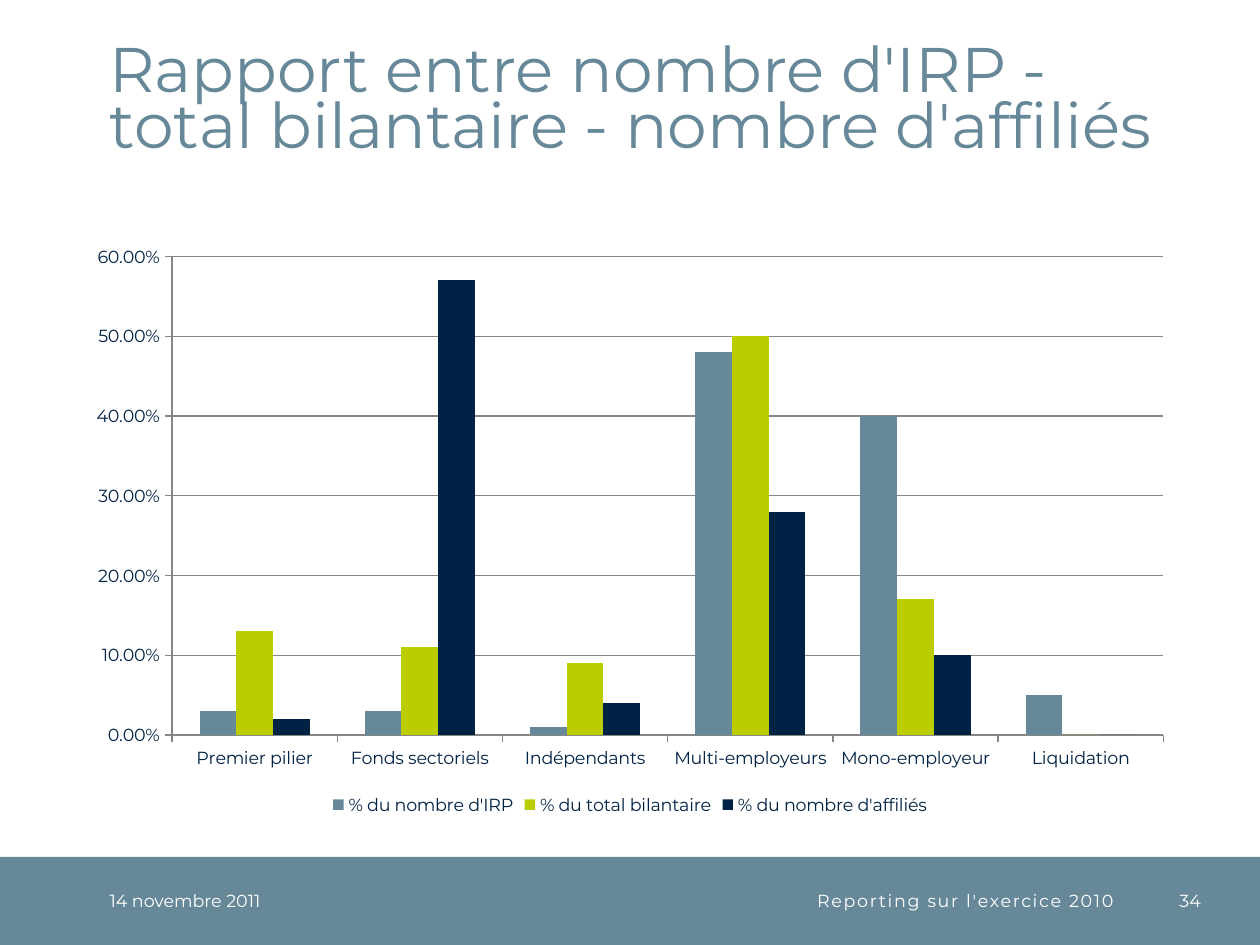
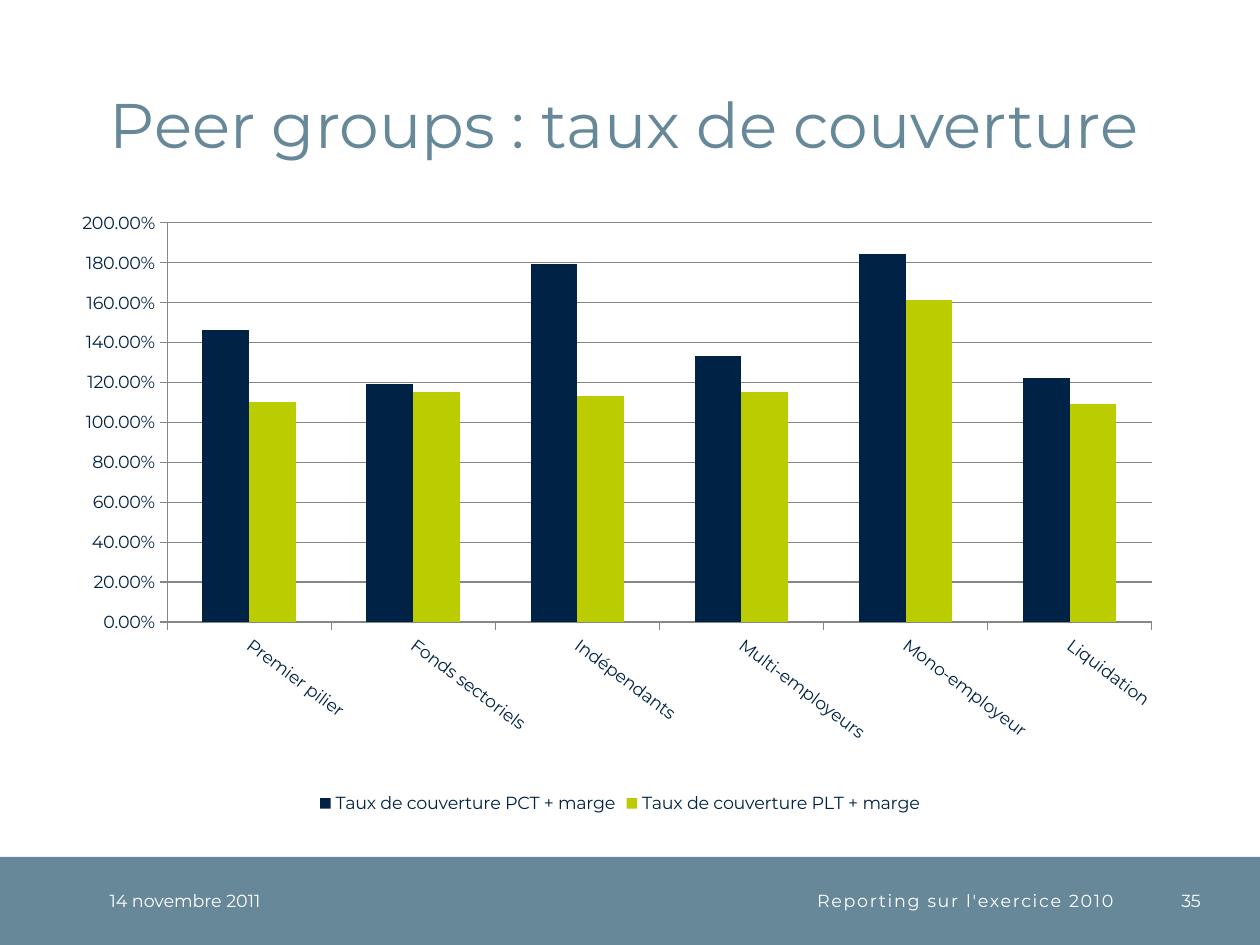
from lxml import etree
from pptx import Presentation
from pptx.chart.data import CategoryChartData
from pptx.dml.color import RGBColor
from pptx.enum import chart as ch, shapes, text
from pptx.oxml import ns
from pptx.util import Inches, Pt

FONT = "Montserrat"
COLORS = {"slate": "668899", "lime": "BBCC00", "navy": "002244",
          "grid": "868686", "white": "FFFFFF"}
GROUPS = ["Premier pilier", "Fonds sectoriels", "Indépendants",
          "Multi-employeurs", "Mono-employeur", "Liquidation"]
BAND_TOP, BAND_HIGH = 6.8, 0.7


def rgb(name):
    return RGBColor.from_string(COLORS[name])


def style(font, size, color):
    font.name = FONT
    font.size = Pt(size)
    font.color.rgb = rgb(color)


def place(shape, left, top, width, height):
    shape.left, shape.top = Inches(left), Inches(top)
    shape.width, shape.height = Inches(width), Inches(height)


def write(shape, words, size, color, anchor, align=text.PP_ALIGN.LEFT):
    """Fill a text frame without margins with one run; return the run."""
    frame = shape.text_frame
    frame.word_wrap = True
    frame.auto_size = text.MSO_AUTO_SIZE.NONE
    frame.vertical_anchor = anchor
    frame.margin_left = frame.margin_right = 0
    frame.margin_top = frame.margin_bottom = 0
    para = frame.paragraphs[0]
    para.alignment = align
    run = para.add_run()
    run.text = words
    style(run.font, size, color)
    return run


def add_title(slide, words):
    title = slide.shapes.title
    place(title, 0.87, 0.2, 8.63, 1.08)
    write(title, words, 36, "slate", text.MSO_ANCHOR.BOTTOM)
    title.text_frame.paragraphs[0].line_spacing = Pt(32)


def add_note(slide, words, left, width, align):
    box = slide.shapes.add_textbox(Inches(left), Inches(BAND_TOP),
                                   Inches(width), Inches(BAND_HIGH))
    return write(box, words, 10, "white", text.MSO_ANCHOR.MIDDLE, align)


def add_footer(slide, number):
    band = slide.shapes.add_shape(
        shapes.MSO_SHAPE.RECTANGLE, 0, Inches(BAND_TOP),
        Inches(10), Inches(BAND_HIGH))
    band.shadow.inherit = False
    band.fill.solid()
    band.fill.fore_color.rgb = rgb("slate")
    band.line.fill.background()
    right = text.PP_ALIGN.RIGHT
    add_note(slide, "14 novembre 2011", 0.87, 1.77, text.PP_ALIGN.LEFT)
    label = add_note(slide, "Reporting sur l'exercice 2010", 2.64, 6.2, right)
    label.font._element.set("spc", "100")
    add_note(slide, str(number), 9.04, 0.49, right)


def style_axis(axis):
    axis.major_tick_mark = ch.XL_TICK_MARK.OUTSIDE
    axis.minor_tick_mark = ch.XL_TICK_MARK.NONE
    axis.format.line.color.rgb = rgb("grid")
    axis.format.line.width = Pt(0.75)
    style(axis.tick_labels.font, 10, "navy")


def add_bars(slide, spot, series, top, step):
    """Draw clustered columns; series holds (name, color, values)."""
    data = CategoryChartData(number_format="0.00%")
    data.categories = GROUPS
    for name, _, values in series:
        data.add_series(name, values)
    chart = slide.shapes.add_chart(
        ch.XL_CHART_TYPE.COLUMN_CLUSTERED,
        *(Inches(side) for side in spot), data).chart
    chart.has_title = False
    style(chart.font, 10, "navy")

    # Columns
    plot = chart.plots[0]
    plot.gap_width, plot.overlap = 150, 0
    plot.vary_by_categories = False
    for bars, (_, color, _) in zip(plot.series, series):
        bars.format.fill.solid()
        bars.format.fill.fore_color.rgb = rgb(color)

    # Axes and grid
    style_axis(chart.category_axis)
    axis = chart.value_axis
    style_axis(axis)
    axis.minimum_scale, axis.maximum_scale, axis.major_unit = 0, top, step
    axis.tick_labels.number_format = "0.00%"
    axis.tick_labels.number_format_is_linked = False
    axis.has_major_gridlines = True
    grid = axis.major_gridlines.format.line
    grid.color.rgb = rgb("grid")
    grid.width = Pt(0.75)

    # Legend
    chart.has_legend = True
    chart.legend.position = ch.XL_LEGEND_POSITION.BOTTOM
    chart.legend.include_in_layout = False
    style(chart.legend.font, 10, "navy")
    return chart


def fix_plot(chart, x, y, w, h):
    """Pin the inner plot area, in fractions of the chart."""
    area = chart._chartSpace.find(".//" + ns.qn("c:plotArea"))
    for old in area.findall(ns.qn("c:layout")):
        area.remove(old)
    layout = etree.Element(ns.qn("c:layout"))
    manual = etree.SubElement(layout, ns.qn("c:manualLayout"))
    parts = {"layoutTarget": "inner", "xMode": "edge", "yMode": "edge",
             "x": x, "y": y, "w": w, "h": h}
    for tag, value in parts.items():
        etree.SubElement(manual, ns.qn("c:" + tag)).set("val", str(value))
    area.insert(0, layout)


def tilt_labels(axis, angle):
    body = axis._element.find(ns.qn("c:txPr")).find(ns.qn("a:bodyPr"))
    body.set("rot", str(angle * 60000))
    body.set("vert", "horz")


def add_page(deck, title, number):
    slide = deck.slides.add_slide(deck.slide_layouts[5])
    add_title(slide, title)
    add_footer(slide, number)
    return slide


def main():
    deck = Presentation()
    deck.slide_width, deck.slide_height = Inches(10), Inches(7.5)

    # Shares of funds, balance sheet and members
    slide = add_page(deck, "Rapport entre nombre d'IRP - total bilantaire"
                     " - nombre d'affiliés", 34)
    add_bars(slide, (0.59, 1.86, 8.82, 4.65), [
        ("% du nombre d'IRP", "slate", [0.03, 0.03, 0.01, 0.48, 0.4, 0.05]),
        ("% du total bilantaire", "lime", [0.13, 0.11, 0.09, 0.5, 0.17, 0]),
        ("% du nombre d'affiliés", "navy", [0.02, 0.57, 0.04, 0.28, 0.1, 0]),
    ], 0.6, 0.1)

    # Cover ratios by peer group
    slide = add_page(deck, "Peer groups : taux de couverture", 35)
    chart = add_bars(slide, (0.43, 1.62, 8.98, 4.88), [
        ("Taux de couverture PCT + marge", "navy",
         [1.46, 1.19, 1.79, 1.33, 1.84, 1.22]),
        ("Taux de couverture PLT + marge", "lime",
         [1.1, 1.15, 1.13, 1.15, 1.61, 1.09]),
    ], 2, 0.2)
    fix_plot(chart, 0.1, 0.03, 0.87, 0.65)
    tilt_labels(chart.category_axis, 37)

    deck.save("out.pptx")


if __name__ == "__main__":
    main()
